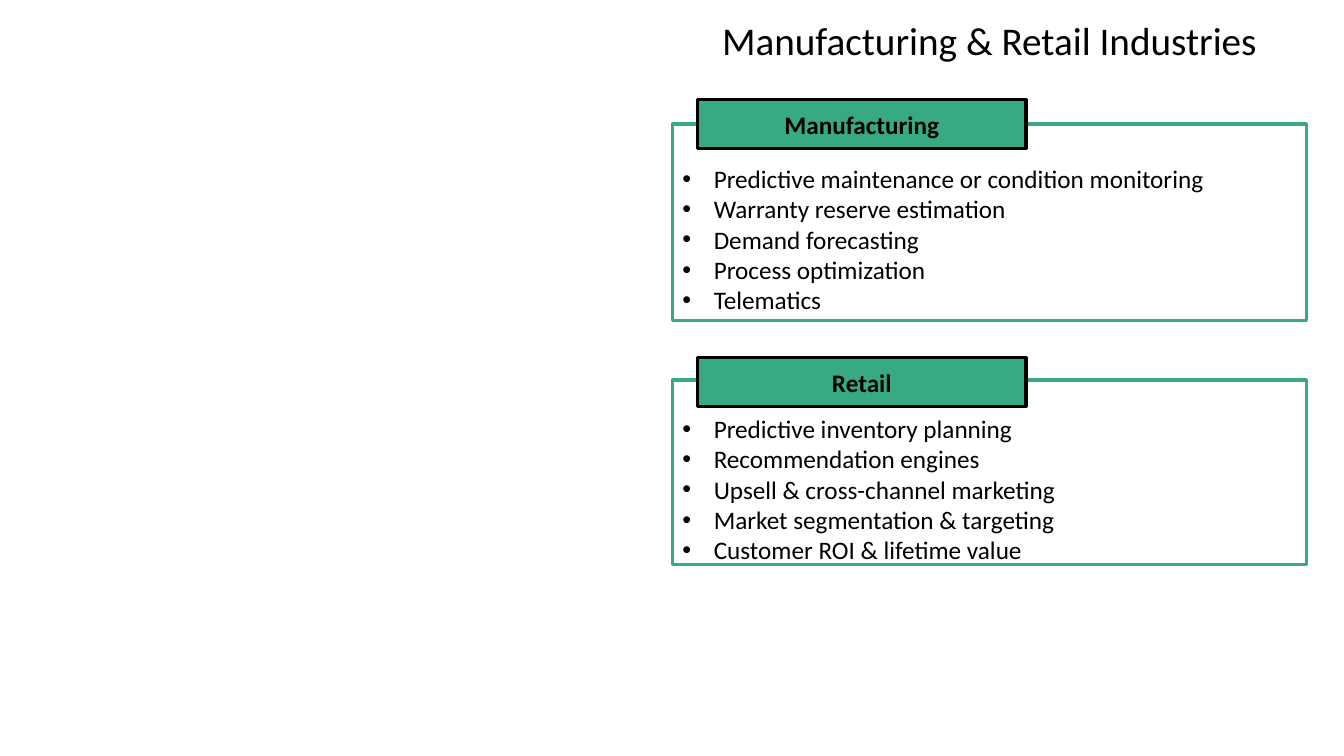
"""Builds a slide of analytics uses in the manufacturing and retail industries."""
from lxml import etree
from pptx import Presentation
from pptx.dml.color import RGBColor
from pptx.enum.shapes import MSO_SHAPE
from pptx.enum.text import MSO_ANCHOR, MSO_AUTO_SIZE, PP_ALIGN
from pptx.oxml.ns import qn
from pptx.util import Pt

RECTANGLE = MSO_SHAPE.RECTANGLE
TOP, MIDDLE = MSO_ANCHOR.TOP, MSO_ANCHOR.MIDDLE
NO_FIT = MSO_AUTO_SIZE.NONE
LEFT, CENTER = PP_ALIGN.LEFT, PP_ALIGN.CENTER
GREEN = RGBColor(0x37, 0xAA, 0x84)
BLACK = RGBColor(0x00, 0x00, 0x00)
FONT = "Calibri"
TITLE_SIZE, BODY_SIZE = 28, 18
LINE_WIDTH = 2.25
INDENT = 22.5
PANEL_LEFT, PANEL_WIDTH = 480.24, 452.88
TAB_LEFT, TAB_WIDTH, TAB_HEIGHT = 498.24, 234.72, 34.56
TAB_ROOM = 24

SECTIONS = [
    ("Manufacturing", 71.28, 88.56, 140.4, [
        "Predictive maintenance or condition monitoring",
        "Warranty reserve estimation",
        "Demand forecasting",
        "Process optimization",
        "Telematics",
    ]),
    ("Retail", 255.6, 271.44, 131.76, [
        "Predictive inventory planning",
        "Recommendation engines",
        "Upsell & cross-channel marketing",
        "Market segmentation & targeting",
        "Customer ROI & lifetime value",
    ]),
]


class SlideBuilder:
    """Holds the text style and the current slide."""

    def __init__(self, deck):
        """Add a title-only slide to the deck."""
        self.page = deck.slides.add_slide(deck.slide_layouts[5])

    def add_span(self, para, text, size=BODY_SIZE, bold=False, align=LEFT):
        """Add one styled run to a paragraph."""
        para.alignment = align
        span = para.add_run()
        span.text = text
        span.font.name = FONT
        span.font.size = Pt(size)
        span.font.bold = bold
        span.font.color.rgb = BLACK

    def title(self, text, left, top, width, height):
        """Place and fill the title placeholder."""
        box = self.page.shapes.title
        box.left, box.top = Pt(left), Pt(top)
        box.width, box.height = Pt(width), Pt(height)
        frame = box.text_frame
        frame.word_wrap = True
        frame.auto_size = NO_FIT
        frame.vertical_anchor = TOP
        para = frame.paragraphs[0]
        para.line_spacing = 0.9
        self.add_span(para, text, TITLE_SIZE, align=CENTER)

    def rectangle(self, left, top, width, height, line):
        """Add an outlined rectangle without fill."""
        box = self.page.shapes.add_shape(
            RECTANGLE, Pt(left), Pt(top), Pt(width), Pt(height))
        box.shadow.inherit = False
        box.fill.background()
        box.line.color.rgb = line
        box.line.width = Pt(LINE_WIDTH)
        box.text_frame.word_wrap = True
        box.text_frame.vertical_anchor = MIDDLE
        return box

    def bullet(self, para):
        """Give a paragraph a hanging bullet."""
        props = para._p.get_or_add_pPr()
        props.set("marL", str(Pt(INDENT)))
        props.set("indent", str(-Pt(INDENT)))
        etree.SubElement(props, qn("a:buFont")).set("typeface", "Arial")
        etree.SubElement(props, qn("a:buChar")).set("char", "•")

    def panel(self, top, height, items):
        """Add a green frame with a bulleted list."""
        box = self.rectangle(PANEL_LEFT, top, PANEL_WIDTH, height, GREEN)
        frame = box.text_frame
        frame.margin_top, frame.margin_bottom = Pt(TAB_ROOM), Pt(0)
        for index, item in enumerate(items):
            para = frame.add_paragraph() if index else frame.paragraphs[0]
            self.bullet(para)
            self.add_span(para, item)

    def tab(self, text, top):
        """Add a filled heading over the edge of a panel."""
        box = self.rectangle(TAB_LEFT, top, TAB_WIDTH, TAB_HEIGHT, BLACK)
        box.fill.solid()
        box.fill.fore_color.rgb = GREEN
        para = box.text_frame.paragraphs[0]
        self.add_span(para, text, bold=True, align=CENTER)


def main():
    """Build and save the deck."""
    deck = Presentation()
    deck.slide_width, deck.slide_height = Pt(960), Pt(540)
    builder = SlideBuilder(deck)
    builder.title("Manufacturing & Retail Industries",
                  PANEL_LEFT, 11.52, PANEL_WIDTH, 43.92)
    for heading, tab_top, panel_top, panel_height, items in SECTIONS:
        builder.panel(panel_top, panel_height, items)
        builder.tab(heading, tab_top)
    deck.save("out.pptx")


if __name__ == "__main__":
    main()
